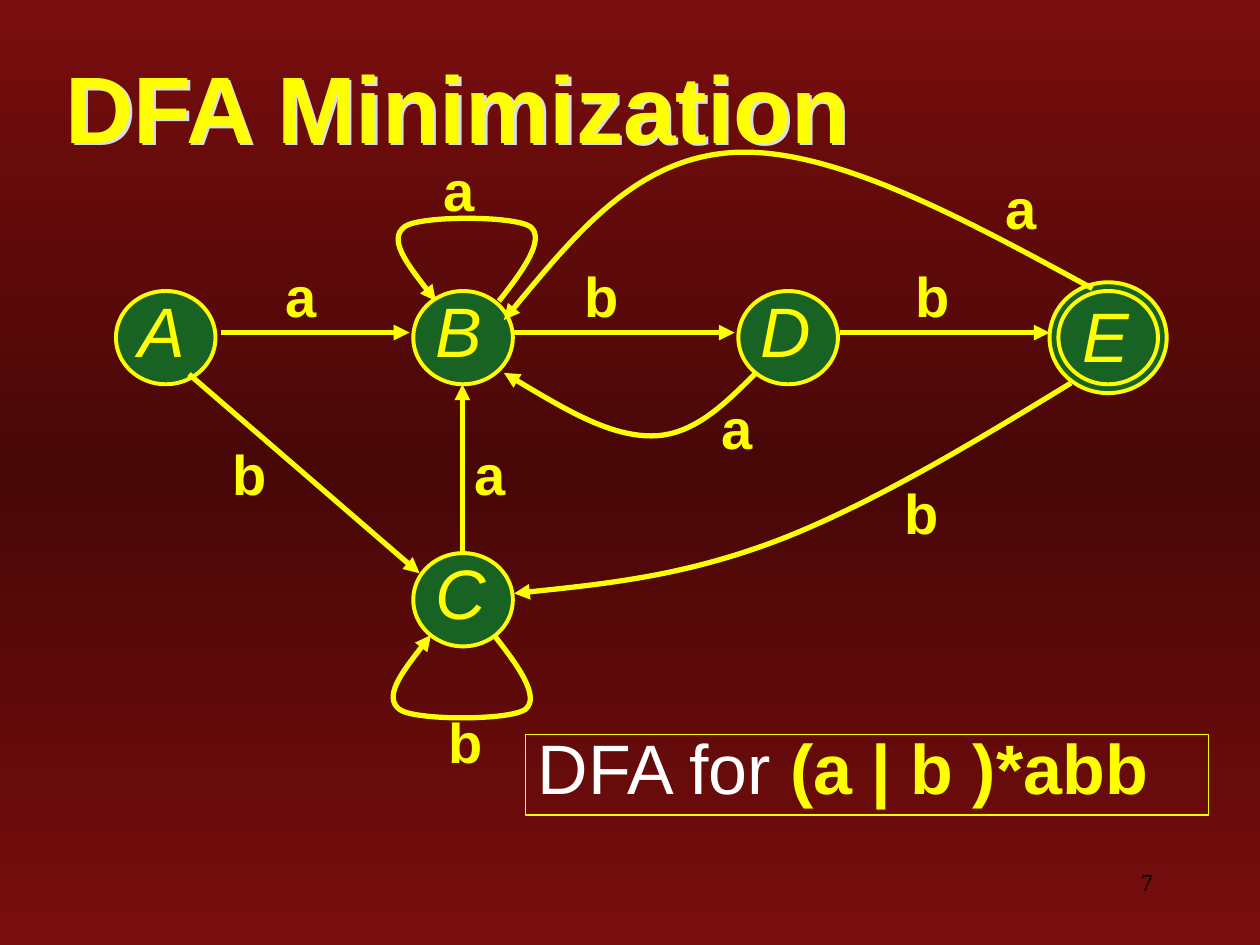
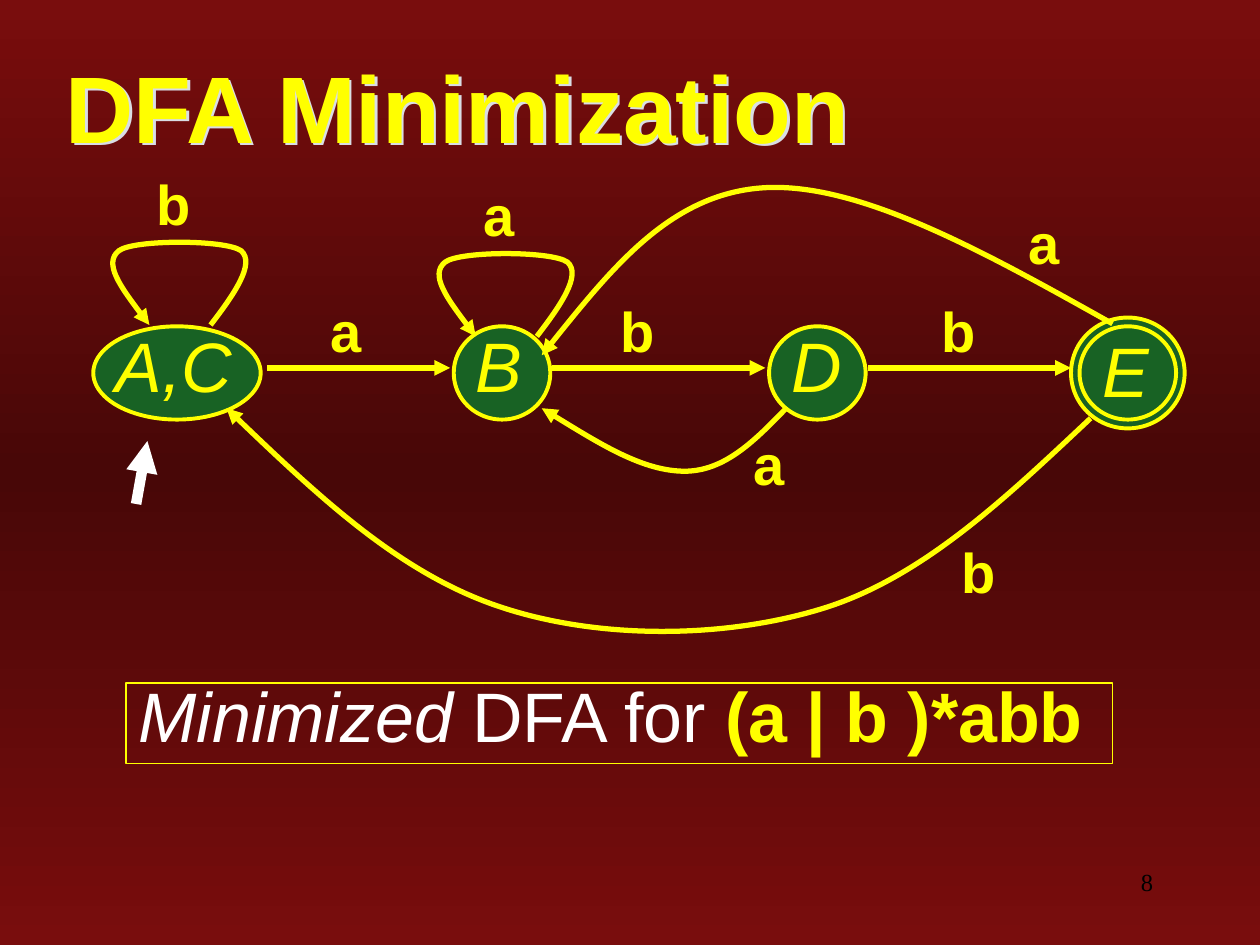
from copy import deepcopy
from dataclasses import dataclass

from lxml import etree
from pptx import Presentation
from pptx.dml.color import RGBColor
from pptx.enum.shapes import MSO_CONNECTOR, MSO_SHAPE
from pptx.enum.text import MSO_ANCHOR, MSO_AUTO_SIZE, PP_ALIGN
from pptx.oxml import parse_xml
from pptx.oxml.ns import nsdecls, qn
from pptx.util import Inches, Pt

ELLIPSE = MSO_SHAPE.OVAL
STRAIGHT = MSO_CONNECTOR.STRAIGHT
LEFT, RIGHT = PP_ALIGN.LEFT, PP_ALIGN.RIGHT
MIDDLE = MSO_ANCHOR.MIDDLE
FIXED = MSO_AUTO_SIZE.NONE

SLIDE_WIDTH, SLIDE_HEIGHT = Inches(10), Inches(7.5)
CELL = SLIDE_WIDTH // 10
TITLE_ONLY = 5


@dataclass(frozen=True)
class Theme:
    edge_red: RGBColor = RGBColor(0x79, 0x0D, 0x0D)
    middle_red: RGBColor = RGBColor(0x48, 0x07, 0x07)
    yellow: RGBColor = RGBColor(0xFF, 0xFF, 0x00)
    green: RGBColor = RGBColor(0x18, 0x62, 0x24)
    white: RGBColor = RGBColor(0xFF, 0xFF, 0xFF)
    black: RGBColor = RGBColor(0x00, 0x00, 0x00)
    title_shadow: str = "D9DDE5"
    font: str = "Arial"
    number_font: str = "Times New Roman"
    title_size: Pt = Pt(54)
    state_size: Pt = Pt(40)
    label_size: Pt = Pt(32)
    number_size: Pt = Pt(14)
    edge_width: Pt = Pt(3)
    state_width: Pt = Pt(2.25)
    caption_width: Pt = Pt(0.75)
    pointer_width: Pt = Pt(6)
    tight: float = 0.8


@dataclass(frozen=True)
class Frame:
    stretch: float = 1
    left: float = 0
    top: float = 0

    def point(self, column, row):
        return grid(self.left + self.stretch * column), grid(self.top + row)

    def box(self, column, row, columns, rows):
        return *self.point(column, row), grid(self.stretch * columns), grid(rows)


THEME = Theme()
FULL = Frame()
MINIMIZED = Frame(0.97, 0.42, 0.28)
LETTER_INSET = (0.08, 0.05)
FINAL_INSET = (0.09, 0.09)
RING = 0.07
STATE_WIDTH, STATE_HEIGHT = 0.79, 0.74
LETTER_WIDTH, LETTER_HEIGHT = 0.53, 0.64
LOOP = [(0, 0), (0.19, 0.24), (0.37, 0.49), (0.25, 0.59), (0.12, 0.68),
        (-0.63, 0.68), (-0.75, 0.59), (-0.88, 0.49), (-0.69, 0.24), (-0.5, 0)]
UP, DOWN = -1, 1


def grid(cells):
    return round(cells * CELL)


def style(font, size, color, face=THEME.font, bold=False, italic=False):
    font.size, font.name = size, face
    font.color.rgb = color
    font.bold, font.italic = bold, italic


def paint_background(master):
    fill = master.background.fill
    fill.gradient()
    fill.gradient_angle = 270
    stops = fill.gradient_stops
    for stop, position in zip(stops, (0, 1)):
        stop.color.rgb = THEME.edge_red
        stop.position = position
    stop_list = master.element.find(".//" + qn("a:gsLst"))
    stop_list.insert(1, deepcopy(stop_list[0]))
    middle = fill.gradient_stops[1]
    middle.position = 0.5
    middle.color.rgb = THEME.middle_red


def add_title(slide, words):
    title = slide.shapes.title
    title.left, title.top, title.width, title.height = FULL.box(0.42, 0.42, 9.67, 0.83)
    frame = title.text_frame
    frame.text = words
    frame.auto_size, frame.vertical_anchor = FIXED, MIDDLE
    heading = frame.paragraphs[0]
    heading.alignment = LEFT
    style(heading.font, THEME.title_size, THEME.yellow, bold=True)
    title.element.spPr.append(parse_xml(
        f'<a:effectLst {nsdecls("a")}><a:outerShdw dist="25400" dir="2700000">'
        f'<a:srgbClr val="{THEME.title_shadow}"/></a:outerShdw></a:effectLst>'))


def add_words(slide, box, words, size, color, wrap=False, **look):
    area = slide.shapes.add_textbox(*box)
    area.text_frame.word_wrap = wrap
    paragraph = area.text_frame.paragraphs[0]
    paragraph.text = words
    style(paragraph.font, size, color, **look)
    return paragraph


def add_label(slide, frame, symbol, column, row):
    label = add_words(slide, frame.box(column, row, 0.63, 0.53), symbol,
                      THEME.label_size, THEME.yellow, bold=True)
    label.line_spacing = THEME.tight


def add_ellipse(slide, box):
    ellipse = slide.shapes.add_shape(ELLIPSE, *box)
    ellipse.shadow.inherit = False
    ellipse.fill.solid()
    ellipse.fill.fore_color.rgb = THEME.green
    ellipse.line.color.rgb = THEME.yellow
    ellipse.line.width = THEME.state_width


def add_state(slide, frame, name, column, row, width=STATE_WIDTH,
              letter_width=LETTER_WIDTH, final=False):
    if final:
        add_ellipse(slide, frame.box(column - RING, row - RING,
                                     width + 2 * RING, STATE_HEIGHT + 2 * RING))
    add_ellipse(slide, frame.box(column, row, width, STATE_HEIGHT))
    right, down = FINAL_INSET if final else LETTER_INSET
    letter = add_words(slide, frame.box(column + right, row + down,
                                        letter_width, LETTER_HEIGHT),
                       name, THEME.state_size, THEME.yellow, italic=True)
    letter.line_spacing = THEME.tight


def finish_arrow(arrow, color, width):
    arrow.line.color.rgb = color
    arrow.line.width = width
    outline = arrow.element.spPr.find(qn("a:ln"))
    etree.SubElement(outline, qn("a:tailEnd"), type="triangle")


def add_arrow(slide, frame, start, end, color=THEME.yellow, width=THEME.edge_width):
    arrow = slide.shapes.add_connector(STRAIGHT, *frame.point(*start), *frame.point(*end))
    finish_arrow(arrow, color, width)
    etree.SubElement(arrow.element.spPr, qn("a:effectLst"))


def add_curve(slide, frame, points):
    start, *rest = [frame.point(*point) for point in points]
    builder = slide.shapes.build_freeform(*start)
    builder.add_line_segments(rest, close=False)
    curve = builder.convert_to_shape()
    outline = curve.element.find(".//" + qn("a:path"))
    segments = outline.findall(qn("a:lnTo"))
    for first in range(0, len(segments), 3):
        bezier = etree.SubElement(outline, qn("a:cubicBezTo"))
        for segment in segments[first:first + 3]:
            bezier.append(segment[0])
            outline.remove(segment)
    curve.shadow.inherit = False
    curve.fill.background()
    finish_arrow(curve, THEME.yellow, THEME.edge_width)


def add_loop(slide, frame, column, row, direction):
    add_curve(slide, frame, [(column + right, row + direction * away)
                             for right, away in LOOP])


def add_caption(slide, box, pieces):
    caption = slide.shapes.add_textbox(*FULL.box(*box))
    caption.line.color.rgb = THEME.yellow
    caption.line.width = THEME.caption_width
    caption.text_frame.word_wrap = True
    paragraph = caption.text_frame.paragraphs[0]
    paragraph.line_spacing = THEME.tight
    for words, color, look in pieces:
        run = paragraph.add_run()
        run.text = words
        style(run.font, THEME.state_size, color, **look)


def add_number(slide, number):
    paragraph = add_words(slide, FULL.box(7.17, 6.83, 2.08, 0.5), str(number),
                          THEME.number_size, THEME.black, wrap=True,
                          face=THEME.number_font)
    paragraph.alignment = RIGHT


def draw_common_automaton(slide, frame):
    for name, column in (("B", 3.28), ("D", 5.86)):
        add_state(slide, frame, name, column, 2.31)
    add_state(slide, frame, "E", 8.4, 2.31, final=True)
    for start, end in ((1.75, 3.25), (4.08, 5.83), (6.67, 8.33)):
        add_arrow(slide, frame, (start, 2.64), (end, 2.64))
    add_loop(slide, frame, 3.96, 2.39, UP)
    add_curve(slide, frame, [(6, 2.96), (5.75, 3.21), (5.5, 3.46), (5.17, 3.46),
                             (4.83, 3.46), (4.42, 3.21), (4, 2.96)])
    add_curve(slide, frame, [(8.67, 2.29), (7.64, 1.73), (6.61, 1.17), (5.83, 1.21),
                             (5.06, 1.25), (4.53, 1.9), (4, 2.54)])
    for symbol, column, row in (("a", 2.17, 2.13), ("b", 4.54, 2.13), ("b", 7.17, 2.13),
                                ("a", 5.63, 3.18), ("a", 7.88, 1.43)):
        add_label(slide, frame, symbol, column, row)


def draw_full_automaton(slide):
    add_state(slide, FULL, "A", 0.92, 2.31)
    add_state(slide, FULL, "C", 3.28, 4.39)
    draw_common_automaton(slide, FULL)
    add_arrow(slide, FULL, (1.5, 2.97), (3.33, 4.55))
    add_arrow(slide, FULL, (3.67, 4.39), (3.67, 3.05))
    add_loop(slide, FULL, 3.92, 5.04, DOWN)
    add_curve(slide, FULL, [(8.5, 3.04), (7.7, 3.53), (6.9, 4.01), (6.17, 4.29),
                            (5.43, 4.57), (4.76, 4.64), (4.08, 4.71)])
    for symbol, column, row in (("a", 3.42, 1.29), ("b", 1.75, 3.54), ("a", 3.67, 3.54),
                                ("b", 3.46, 5.67), ("b", 7.08, 3.85)):
        add_label(slide, FULL, symbol, column, row)


def draw_minimized_automaton(slide):
    add_state(slide, MINIMIZED, "A,C", 0.33, 2.31, width=1.37, letter_width=1.25)
    draw_common_automaton(slide, MINIMIZED)
    add_loop(slide, MINIMIZED, 1.29, 2.3, UP)
    add_curve(slide, MINIMIZED, [(8.49, 3.04), (7.81, 3.66), (7.13, 4.29), (6.33, 4.54),
                                 (5.52, 4.79), (4.48, 4.8), (3.67, 4.54),
                                 (2.85, 4.28), (2.13, 3.62), (1.42, 2.96)])
    for symbol, column, row in (("a", 3.42, 1.21), ("b", 0.75, 1.12), ("b", 7.33, 4.04)):
        add_label(slide, MINIMIZED, symbol, column, row)
    add_arrow(slide, FULL, (1.08, 4), (1.17, 3.5), THEME.white, THEME.pointer_width)


def main():
    deck = Presentation()
    deck.slide_width, deck.slide_height = SLIDE_WIDTH, SLIDE_HEIGHT
    paint_background(deck.slide_master)
    expression = ("(a | b )*abb", THEME.yellow, {"bold": True})
    pages = (
        (7, draw_full_automaton, (4.17, 5.83, 5.42, 0.64),
         [("DFA for ", THEME.white, {}), expression]),
        (8, draw_minimized_automaton, (1, 5.42, 7.83, 0.64),
         [("Minimized", THEME.white, {"italic": True}),
          (" DFA for ", THEME.white, {}), expression]),
    )
    for number, draw, caption_box, caption in pages:
        slide = deck.slides.add_slide(deck.slide_layouts[TITLE_ONLY])
        add_title(slide, "DFA Minimization")
        add_caption(slide, caption_box, caption)
        draw(slide)
        add_number(slide, number)
    deck.save("out.pptx")


if __name__ == "__main__":
    main()
